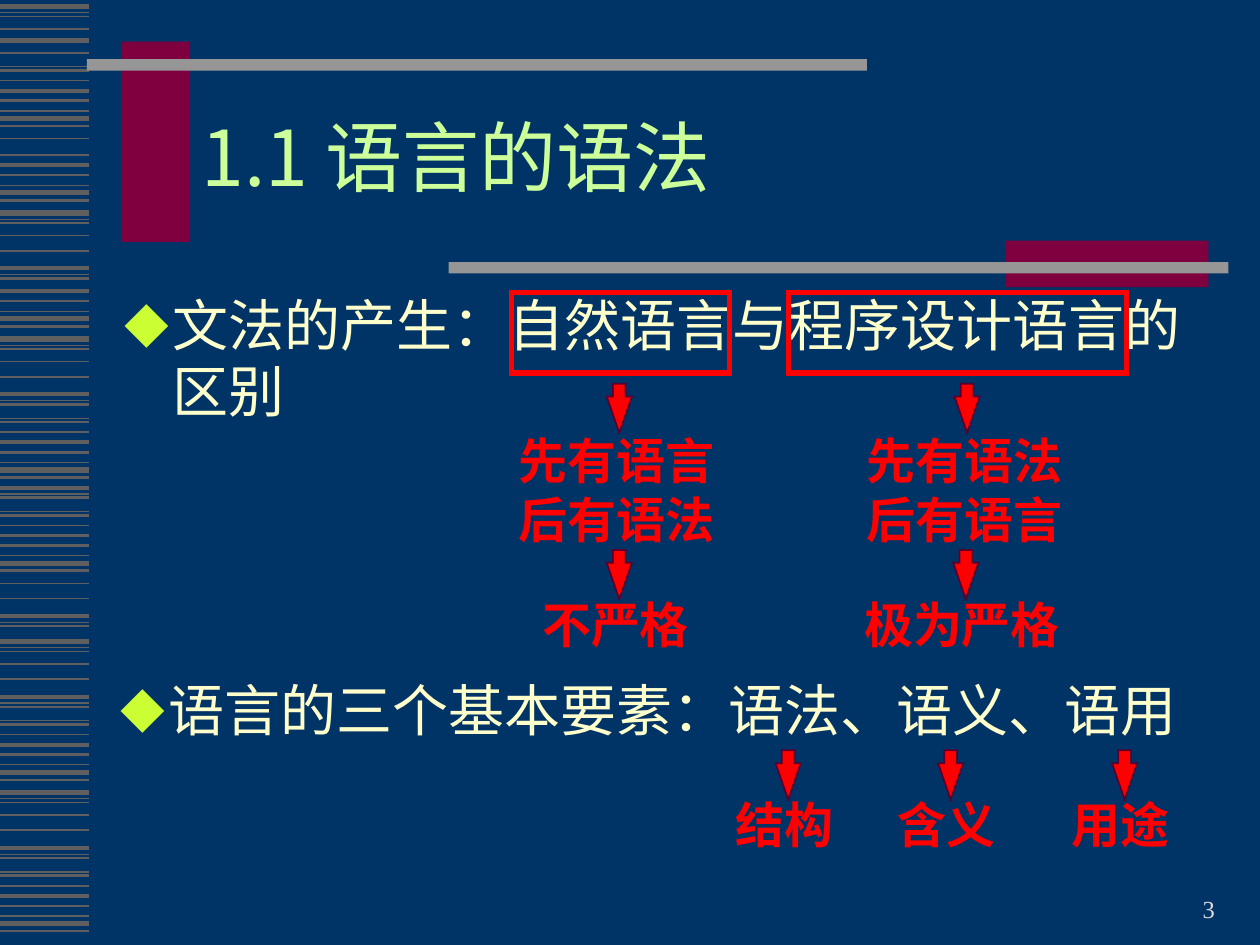
"""Build the slide on the grammar of languages."""
from typing import NamedTuple

from lxml import etree
from pptx import Presentation
from pptx import util as u
from pptx.dml.color import RGBColor
from pptx.enum import shapes, text
from pptx.oxml.ns import qn

PX = u.Inches(1) // 100
NAVY = RGBColor(0x00, 0x33, 0x66)
STRIPE_GRAY = RGBColor(0x5F, 0x5F, 0x5F)
BAR_GRAY = RGBColor(0x96, 0x96, 0x96)
WINE = RGBColor(0x7E, 0x00, 0x3F)
DARK_WINE = RGBColor(0x5B, 0x00, 0x2C)
RED = RGBColor(0xFF, 0x00, 0x00)
LIME = RGBColor(0xCC, 0xFF, 0x33)
PALE_GREEN = RGBColor(0xCC, 0xFF, 0x99)
CREAM = RGBColor(0xFF, 0xFF, 0xCC)
SILVER = RGBColor(0xDD, 0xDD, 0xDD)
SANS = "Noto Sans CJK SC"
SERIF = "Times New Roman"


class Box(NamedTuple):
    left: int
    top: int
    width: int
    height: int

    def emu(self) -> list[int]:
        return [side * PX for side in self]


class Style(NamedTuple):
    font: dict
    color: RGBColor
    spacing: object = 1.0
    align: object = text.PP_ALIGN.LEFT
    anchor: object = text.MSO_ANCHOR.TOP
    bullet: bool = False


class StripeRun(NamedTuple):
    origin: int
    first: int = 0
    end: int = 16


class Step(NamedTuple):
    left: int
    top: int
    lines: tuple[str, ...]


STRIPES = [(0, 3), (5, .75), (8, 1), (18, 1), (30, 1), (44, 2.25), (49, .75), (52, 1.5),
           (63, .75), (66, 1.5), (74, 1), (82, 2.25), (90, 1.5), (98, .75), (104, 3), (110, 1.5)]
STRIPE_RUNS = [
    StripeRun(629), StripeRun(509), StripeRun(445, 3, 8), StripeRun(343, 5), StripeRun(269),
    StripeRun(149, 11), StripeRun(169, 0, 8), StripeRun(49, 10), StripeRun(92, 3, 4),
    StripeRun(-10, 7), StripeRun(32, 0, 1), StripeRun(5, 0, 4),
]
BARS = [
    (Box(97, 33, 54, 159), WINE), (Box(69, 47, 619, 9), BAR_GRAY),
    (Box(798, 191, 161, 37), WINE), (Box(356, 208, 619, 9), BAR_GRAY),
]
FRAMES = [Box(406, 232, 173, 64), Box(626, 232, 268, 64)]
STEPS = [
    Step(472, 314, ("先有语言", "后有语法")), Step(472, 446, ("不严格",)),
    Step(748, 314, ("先有语法", "后有语言")), Step(747, 446, ("极为严格",)),
    Step(606, 605, ("结构",)), Step(735, 605, ("含义",)), Step(873, 605, ("用途",)),
]
TITLE = Style({"name": SANS, "size": u.Pt(44)}, PALE_GREEN, 0.85, anchor=text.MSO_ANCHOR.MIDDLE)
POINT = Style({"name": SANS, "size": u.Pt(32)}, CREAM, u.Pt(38), bullet=True)
NOTE = Style({"name": SERIF, "size": u.Pt(28), "bold": True}, RED, u.Pt(33.5))
PAGE = Style({"name": SERIF, "size": u.Pt(14)}, SILVER, align=text.PP_ALIGN.RIGHT,
             anchor=text.MSO_ANCHOR.BOTTOM)


def add_stripe(slide, y: int, weight: float) -> None:
    stripe = slide.shapes.add_connector(shapes.MSO_CONNECTOR.STRAIGHT, 0, y * PX, 71 * PX, y * PX)
    stripe.line.color.rgb = STRIPE_GRAY
    stripe.line.width = u.Pt(weight)
    etree.SubElement(stripe._element.spPr, qn("a:effectLst"))


def add_figure(slide, kind, box: Box, fill=None, line=None, weight: float = 0):
    figure = slide.shapes.add_shape(kind, *box.emu())
    figure.shadow.inherit = False
    for part, color in ((figure.fill, fill), (figure.line.fill, line)):
        if color is None:
            part.background()
        else:
            part.solid()
            part.fore_color.rgb = color
    if line is not None:
        figure.line.width = u.Pt(weight)
        etree.SubElement(figure.line._get_or_add_ln(), qn("a:miter"), lim="800000")
    return figure


def add_bullet(paragraph) -> None:
    properties = paragraph._p.get_or_add_pPr()
    properties.set("marL", str(38 * PX))
    properties.set("indent", str(-38 * PX))
    tint = etree.SubElement(properties, qn("a:buClr"))
    etree.SubElement(tint, qn("a:srgbClr"), val=str(LIME))
    etree.SubElement(properties, qn("a:buSzPct"), val="80000")
    etree.SubElement(properties, qn("a:buFont"), typeface=SANS)
    etree.SubElement(properties, qn("a:buChar"), char="◆")


def add_text(slide, box: Box, lines: tuple[str, ...], style: Style) -> None:
    frame = slide.shapes.add_textbox(*box.emu()).text_frame
    for key, value in {"word_wrap": True, "vertical_anchor": style.anchor}.items():
        setattr(frame, key, value)
    for index, line in enumerate(lines):
        paragraph = frame.add_paragraph() if index else frame.paragraphs[0]
        paragraph.alignment = style.align
        paragraph.line_spacing = style.spacing
        if style.bullet:
            add_bullet(paragraph)
        run = paragraph.add_run()
        run.text = line
        for key, value in style.font.items():
            setattr(run.font, key, value)
        run.font.color.rgb = style.color
        etree.SubElement(run._r.get_or_add_rPr(), qn("a:ea"), typeface=SANS)


def add_step(slide, step: Step) -> None:
    arrow = add_figure(slide, shapes.MSO_SHAPE.RIGHT_ARROW, Box(step.left, step.top, 39, 20),
                       RED, DARK_WINE, 1)
    arrow.rotation = 90
    arrow.adjustments[1] = 1.44
    if len(step.lines) > 1:
        add_text(slide, Box(step.left - 70, step.top + 23, 181, 104), step.lines, NOTE)
    else:
        centered = NOTE._replace(align=text.PP_ALIGN.CENTER)
        add_text(slide, Box(step.left - 74, step.top + 21, 181, 57), step.lines, centered)


def main() -> None:
    deck = Presentation()
    deck.slide_width, deck.slide_height = 1000 * PX, 750 * PX
    slide = deck.slides.add_slide(deck.slide_layouts[6])
    slide.background.fill.solid()
    slide.background.fill.fore_color.rgb = NAVY
    for run in STRIPE_RUNS:
        for offset, weight in STRIPES[run.first:run.end]:
            add_stripe(slide, run.origin + offset, weight)
    for box, color in BARS:
        add_figure(slide, shapes.MSO_SHAPE.RECTANGLE, box, fill=color)
    add_text(slide, Box(734, 688, 240, 50), ("3",), PAGE)
    add_text(slide, Box(150, 67, 807, 125), ("1.1 语言的语法",), TITLE)
    add_text(slide, Box(89, 226, 870, 125), ("文法的产生：自然语言与程序设计语言的区别",), POINT)
    add_text(slide, Box(86, 532, 870, 75), ("语言的三个基本要素：语法、语义、语用",), POINT)
    for box in FRAMES:
        add_figure(slide, shapes.MSO_SHAPE.RECTANGLE, box, line=RED, weight=3)
    for step in STEPS:
        add_step(slide, step)
    deck.save("out.pptx")


if __name__ == "__main__":
    main()
